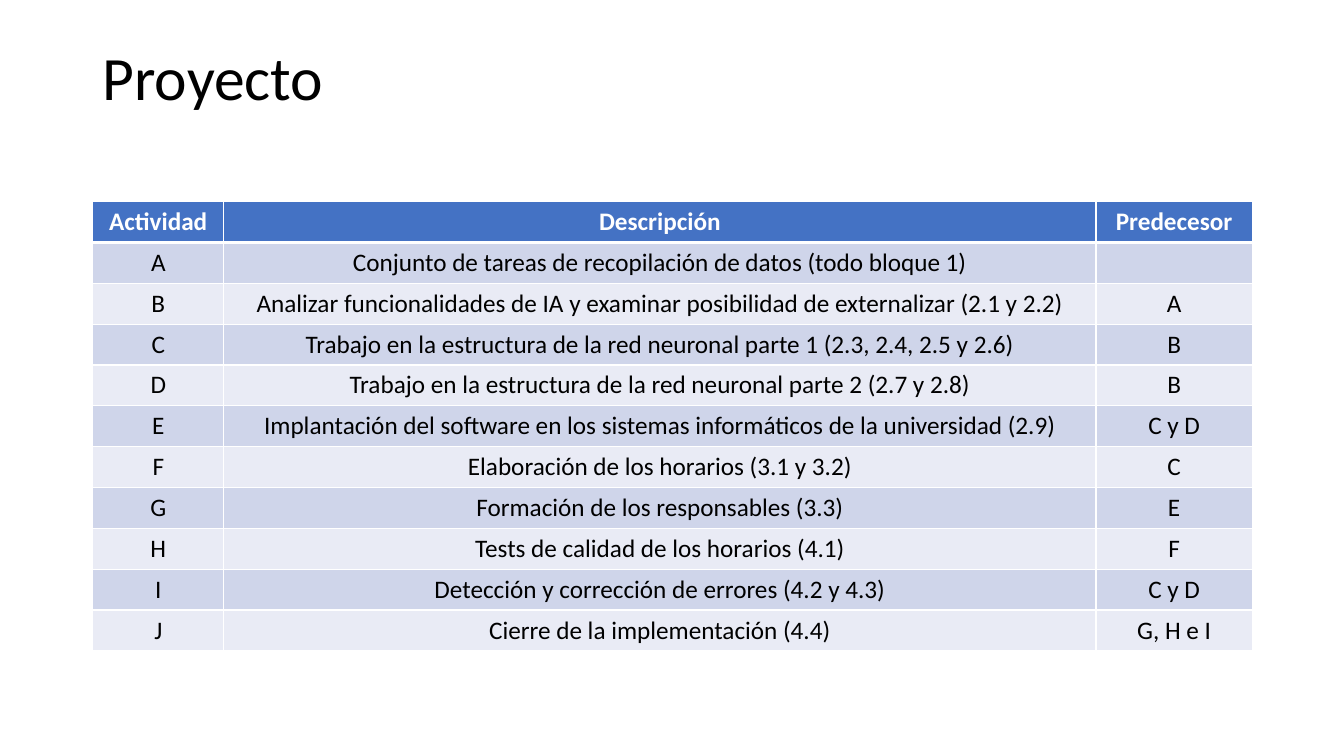
import pptx
import pptx.dml.color
import pptx.enum.text
import pptx.oxml
import pptx.oxml.ns
import pptx.util

Inches = pptx.util.Inches

TITLE = "Proyecto"
HEADER = ("Actividad", "Descripción", "Predecesor")
ACTIVITIES = [
    ("A", "Conjunto de tareas de recopilación de datos (todo bloque 1)", ""),
    ("B", "Analizar funcionalidades de IA y examinar posibilidad de externalizar (2.1 y 2.2)", "A"),
    ("C", "Trabajo en la estructura de la red neuronal parte 1 (2.3, 2.4, 2.5 y 2.6)", "B"),
    ("D", "Trabajo en la estructura de la red neuronal parte 2 (2.7 y 2.8)", "B"),
    ("E", "Implantación del software en los sistemas informáticos de la universidad (2.9)", "C y D"),
    ("F", "Elaboración de los horarios (3.1 y 3.2)", "C"),
    ("G", "Formación de los responsables (3.3)", "E"),
    ("H", "Tests de calidad de los horarios (4.1)", "F"),
    ("I", "Detección y corrección de errores (4.2 y 4.3)", "C y D"),
    ("J", "Cierre de la implementación (4.4)", "G, H e I"),
]
COLUMN_WIDTHS = (1.3, 8.65, 1.55)
LEFT, WIDTH = 0.92, 11.5
TABLE_TOP, TABLE_HEIGHT = 2, 4.46
FONT = "Calibri"
COLORS = {
    "text": "000000",
    "white": "FFFFFF",
    "header": "4472C4",
    "odd": "CFD5EA",
    "even": "E9EBF5",
}


def rgb(name):
    return pptx.dml.color.RGBColor.from_string(COLORS[name])


def style_font(paragraph, size, color, bold=False):
    font = paragraph.font
    font.name, font.size, font.bold = FONT, pptx.util.Pt(size), bold
    font.color.rgb = rgb(color)


def add_borders(cell, widths):
    properties = cell._tc.get_or_add_tcPr()
    for side, points in widths.items():
        properties.append(pptx.oxml.parse_xml(
            f'<a:ln{side} {pptx.oxml.ns.nsdecls("a")} w="{pptx.util.Pt(points)}"><a:solidFill>'
            f'<a:srgbClr val="{COLORS["white"]}"/></a:solidFill></a:ln{side}>'))


def add_title(slide):
    box = slide.shapes.add_textbox(Inches(LEFT), Inches(0.4), Inches(WIDTH), Inches(0.79))
    frame = box.text_frame
    frame.word_wrap = True
    frame.vertical_anchor = pptx.enum.text.MSO_ANCHOR.MIDDLE
    paragraph = frame.paragraphs[0]
    paragraph.text = TITLE
    paragraph.line_spacing = 0.9
    style_font(paragraph, 44, "text")


def add_activity_table(slide):
    rows = [HEADER, *ACTIVITIES]
    table = slide.shapes.add_table(
        len(rows), len(HEADER), Inches(LEFT), Inches(TABLE_TOP),
        Inches(WIDTH), Inches(TABLE_HEIGHT)).table
    for column, width in zip(table.columns, COLUMN_WIDTHS):
        column.width = Inches(width)
    for row_index, row in enumerate(rows):
        is_header = row_index == 0
        fill = "header" if is_header else "odd" if row_index % 2 else "even"
        borders = {"L": 1, "R": 1, "T": 3 if row_index == 1 else 1, "B": 3 if is_header else 1}
        for column_index, text in enumerate(row):
            cell = table.cell(row_index, column_index)
            add_borders(cell, borders)
            cell.fill.solid()
            cell.fill.fore_color.rgb = rgb(fill)
            paragraph = cell.text_frame.paragraphs[0]
            paragraph.text = text
            paragraph.alignment = pptx.enum.text.PP_ALIGN.CENTER
            style_font(paragraph, 18, "white" if is_header else "text", is_header)


def main():
    """Build the slide with the project's activity table."""
    presentation = pptx.Presentation()
    presentation.slide_width, presentation.slide_height = Inches(13.33), Inches(7.5)
    slide = presentation.slides.add_slide(presentation.slide_layouts[6])
    add_title(slide)
    add_activity_table(slide)
    presentation.save("out.pptx")


if __name__ == "__main__":
    main()
